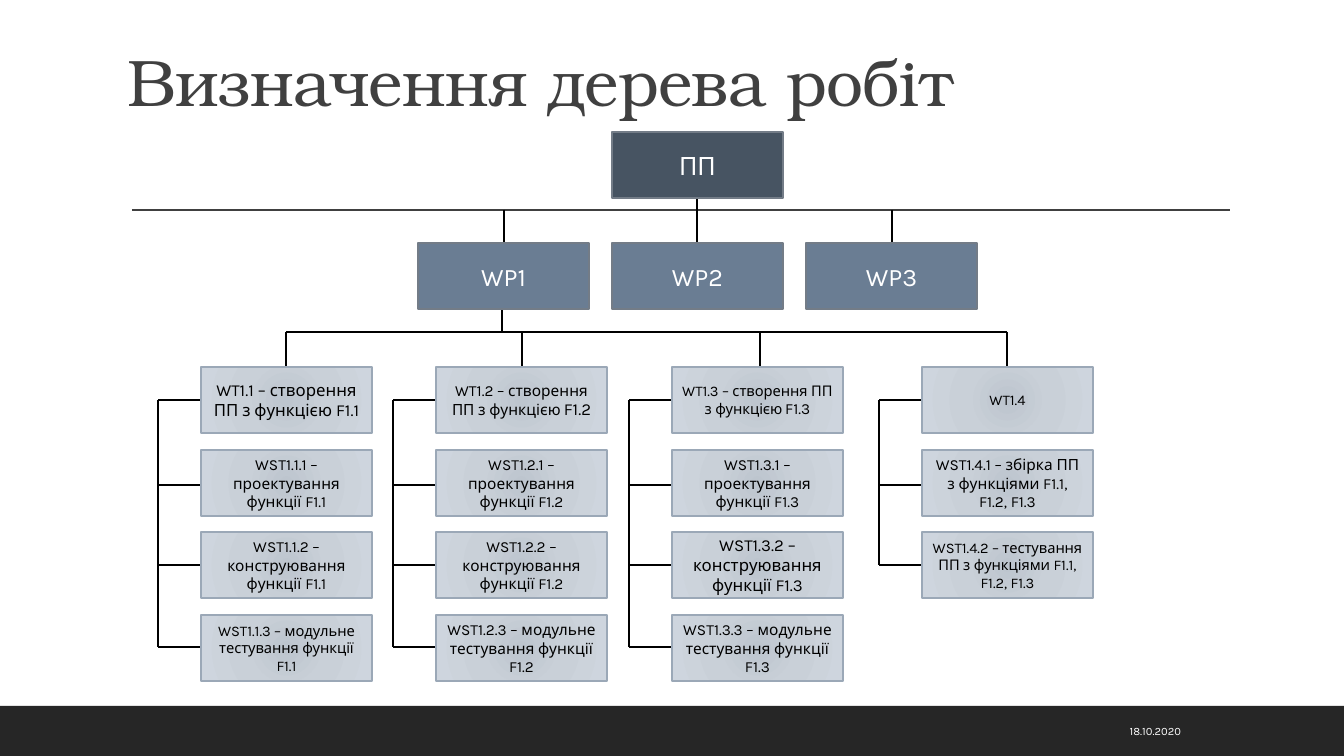
from typing import NamedTuple

from pptx import Presentation
from pptx.dml.color import RGBColor
from pptx.enum.shapes import MSO_CONNECTOR, MSO_SHAPE
from pptx.enum.text import MSO_ANCHOR, PP_ALIGN
from pptx.oxml import parse_xml
from pptx.oxml.ns import nsdecls
from pptx.oxml.xmlchemy import OxmlElement
from pptx.util import Pt

SCALE = 914400 / 100.8
SLIDE_WIDTH, SLIDE_HEIGHT = 1344, 756
BOX_WIDTH, BOX_HEIGHT = 171, 66
COLORS = {
    "white": "FFFFFF",
    "black": "000000",
    "footer": "262626",
    "title": "404040",
    "product": "475462",
    "package": "6A7D93",
    "package_border": "737C87",
    "task_border": "9BA8B7",
    "task_center": "BDC5CE",
    "task_middle": "C9D0D8",
    "task_edge": "CED5DE",
}
TASK_GRADIENT = ((0, "task_center"), (45, "task_middle"), (100, "task_edge"))


class Run(NamedTuple):
    text: str
    size: float


class Row(NamedTuple):
    top: int
    branch: int


class Package(NamedTuple):
    text: str
    left: int
    top: int
    color: str


class TaskColumn(NamedTuple):
    left: int
    drop: int
    tasks: list[list[Run]]


def emu(pixels: float) -> int:
    return round(pixels * SCALE)


def rgb(name: str) -> RGBColor:
    return RGBColor.from_string(COLORS[name])


def write_text(shape, runs: list[Run], *, color: str, font: str = "Karla",
               alignment=PP_ALIGN.CENTER, anchor=MSO_ANCHOR.MIDDLE,
               line_spacing: float = 1.0, character_spacing: int = 0) -> None:
    frame = shape.text_frame
    frame.word_wrap = True
    frame.vertical_anchor = anchor
    paragraph = frame.paragraphs[0]
    paragraph.alignment = alignment
    paragraph.line_spacing = line_spacing
    for item in runs:
        run = paragraph.add_run()
        run.text = item.text
        run.font.size = Pt(item.size)
        run.font.name = font
        run.font.color.rgb = rgb(color)
        if character_spacing:
            run.font._element.set("spc", str(character_spacing))


def add_line(x1: int, y1: int, x2: int, y2: int, color: str = "black") -> None:
    line = slide.shapes.add_connector(
        MSO_CONNECTOR.STRAIGHT, emu(x1), emu(y1), emu(x2), emu(y2))
    line.line.color.rgb = rgb(color)
    line.line.width = Pt(1)
    line._element.spPr.append(OxmlElement("a:effectLst"))


def add_box(left: int, top: int, width: int = BOX_WIDTH, height: int = BOX_HEIGHT, *,
            fill: str | None = None, border: str | None = None, border_width: float = 1):
    box = slide.shapes.add_shape(
        MSO_SHAPE.RECTANGLE, emu(left), emu(top), emu(width), emu(height))
    if fill:
        box.fill.solid()
        box.fill.fore_color.rgb = rgb(fill)
    else:
        stops = "".join(
            f'<a:gs pos="{position * 1000}"><a:srgbClr val="{COLORS[name]}"/></a:gs>'
            for position, name in TASK_GRADIENT)
        box._element.spPr.insert(2, parse_xml(
            f'<a:gradFill {nsdecls("a")}><a:gsLst>{stops}</a:gsLst><a:path path="circle">'
            '<a:fillToRect l="100000" t="100000" r="100000" b="100000"/></a:path></a:gradFill>'))
    if border:
        box.line.color.rgb = rgb(border)
        box.line.width = Pt(border_width)
    else:
        box.line.fill.background()
    box.shadow.inherit = False
    return box


def feature_tasks(number: int, heading: list[Run], sizes: tuple[float, ...]) -> list[list[Run]]:
    stages = ("проектування", "конструювання", "модульне тестування")
    return [heading] + [
        [Run(f"WST1.{number}.{step} – {stage} функції F1.{number}", size)]
        for step, (stage, size) in enumerate(zip(stages, sizes), 1)]


ROWS = [Row(367, 400), Row(450, 485), Row(532, 565), Row(615, 647)]
PACKAGES = [
    Package("ПП", 612, 132, "product"),
    Package("WP1", 418, 243, "package"),
    Package("WP2", 612, 243, "package"),
    Package("WP3", 806, 243, "package"),
]
COLUMNS = [
    TaskColumn(201, 286, feature_tasks(
        1, [Run("WT1.1 – створення ПП з функцією F1.1", 12)], (11, 11, 10.5))),
    TaskColumn(436, 522, feature_tasks(
        2, [Run("WT1.2 – створення ПП з функцією", 11), Run(" ", 9), Run("F1.2", 12)],
        (11, 11, 11))),
    TaskColumn(672, 760, feature_tasks(
        3, [Run("WT1.3 – створення ПП з функцією", 10.5), Run(" ", 8), Run("F1.3", 11)],
        (11, 12, 11))),
    TaskColumn(922, 1007, [
        [Run("WT1.4", 10.5)],
        [Run("WST1.4.1 – збірка ПП з функціями F1.1, F1.2, F1.3", 11)],
        [Run("WST1.4.2 – тестування ПП з функціями F1.1, F1.2, F1.3", 10.5)],
    ]),
]
RULE_Y, PACKAGE_TOP, TASK_RAIL_Y = 210, 243, 332
SPINE_OFFSET = 43

presentation = Presentation()
presentation.slide_width = emu(SLIDE_WIDTH)
presentation.slide_height = emu(SLIDE_HEIGHT)
slide = presentation.slides.add_slide(presentation.slide_layouts[5])

title = slide.shapes.title
title.left, title.top, title.width, title.height = map(emu, (117, 43, 1109, 83))
write_text(title, [Run("Визначення дерева робіт", 47)], color="title", font="TeX Gyre Bonum",
           alignment=PP_ALIGN.LEFT, anchor=MSO_ANCHOR.BOTTOM,
           line_spacing=0.9, character_spacing=-50)

add_box(0, 706, SLIDE_WIDTH, 50, fill="footer")
date = slide.shapes.add_textbox(emu(906), emu(711), emu(285), emu(40))
write_text(date, [Run("18.10.2020", 8)], color="white", alignment=PP_ALIGN.RIGHT)

add_line(132, RULE_Y, 1230, RULE_Y, "title")
add_line(697, 197, 697, PACKAGE_TOP)
for package_x in (504, 892):
    add_line(package_x, RULE_Y, package_x, PACKAGE_TOP)
add_line(502, PACKAGE_TOP + BOX_HEIGHT, 502, TASK_RAIL_Y)
add_line(COLUMNS[0].drop, TASK_RAIL_Y, COLUMNS[-1].drop, TASK_RAIL_Y)

for package in PACKAGES:
    box = add_box(package.left, package.top, fill=package.color,
                  border="package_border", border_width=1.25)
    write_text(box, [Run(package.text, 18)], color="white")

for column in COLUMNS:
    spine = column.left - SPINE_OFFSET
    add_line(column.drop, TASK_RAIL_Y, column.drop, ROWS[0].top)
    add_line(spine, ROWS[0].branch, spine, ROWS[len(column.tasks) - 1].branch)
    for row, task in zip(ROWS, column.tasks):
        add_line(column.left, row.branch, spine, row.branch)
        write_text(add_box(column.left, row.top, border="task_border"), task, color="black")

presentation.save("out.pptx")
